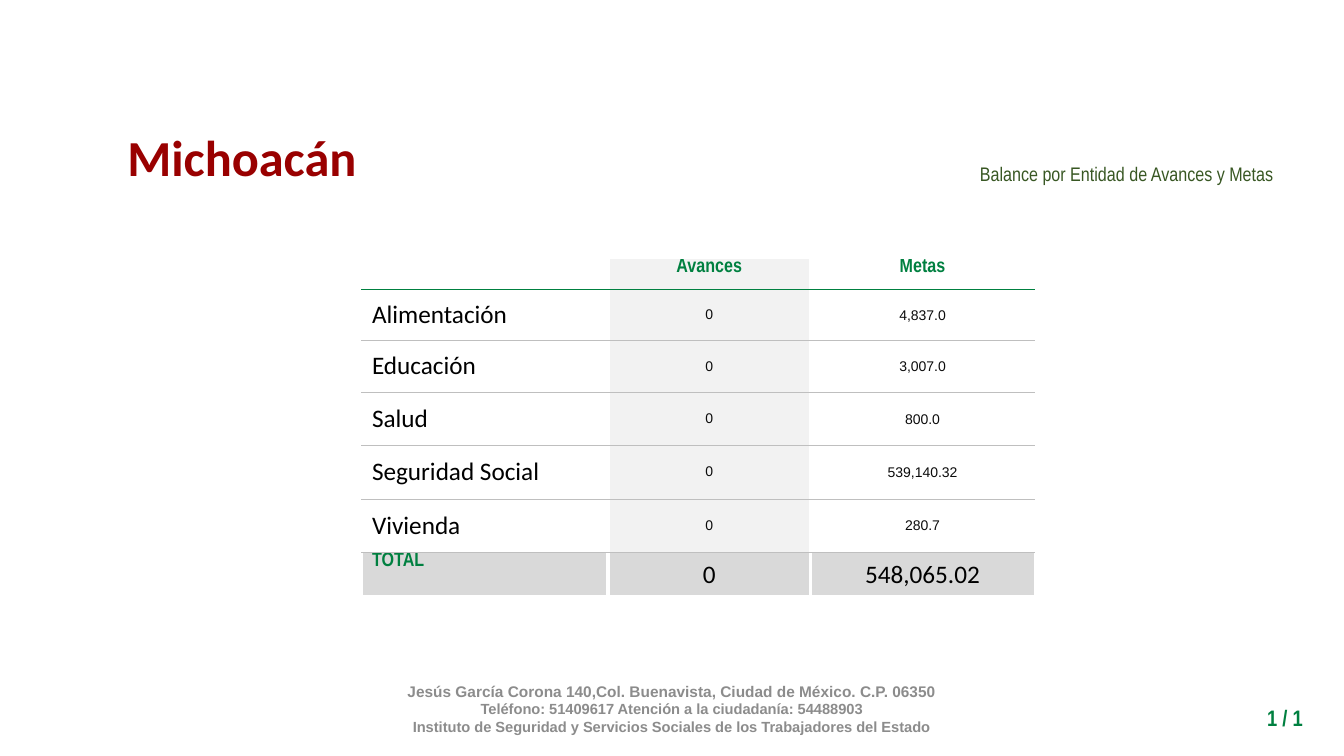
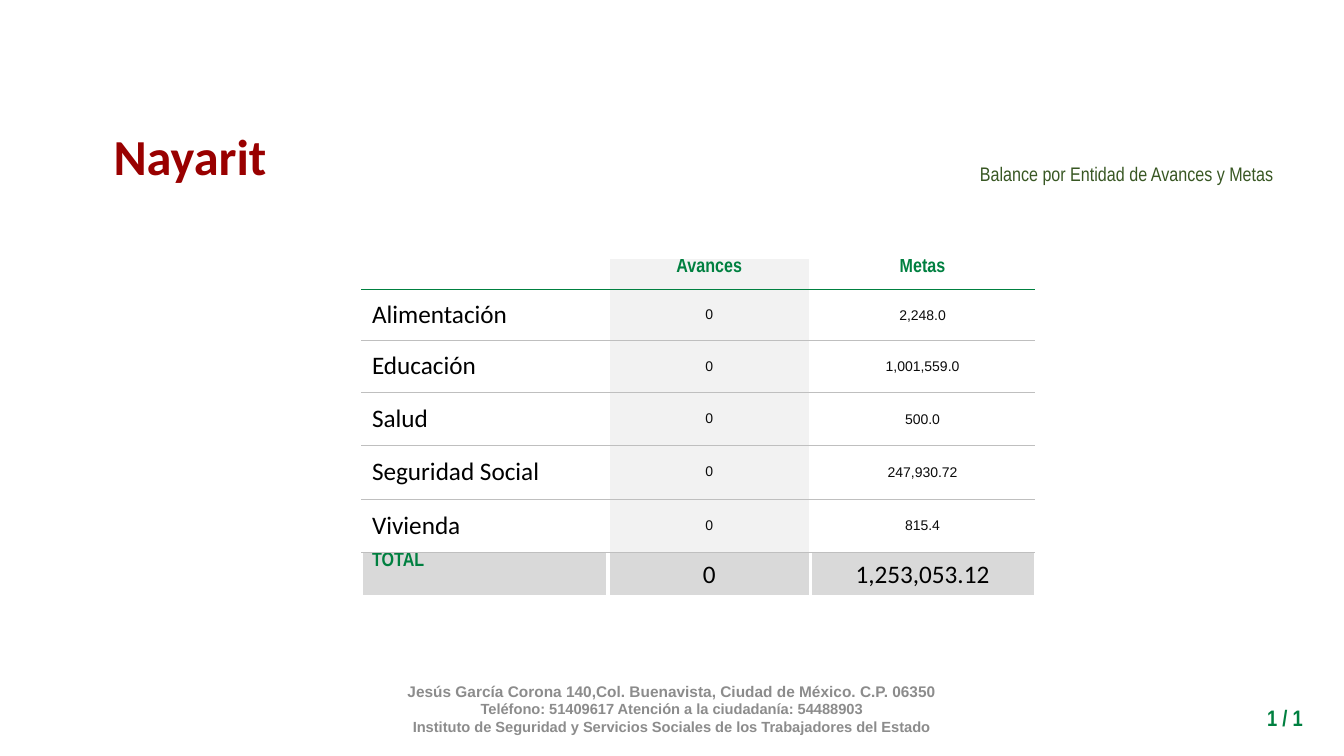
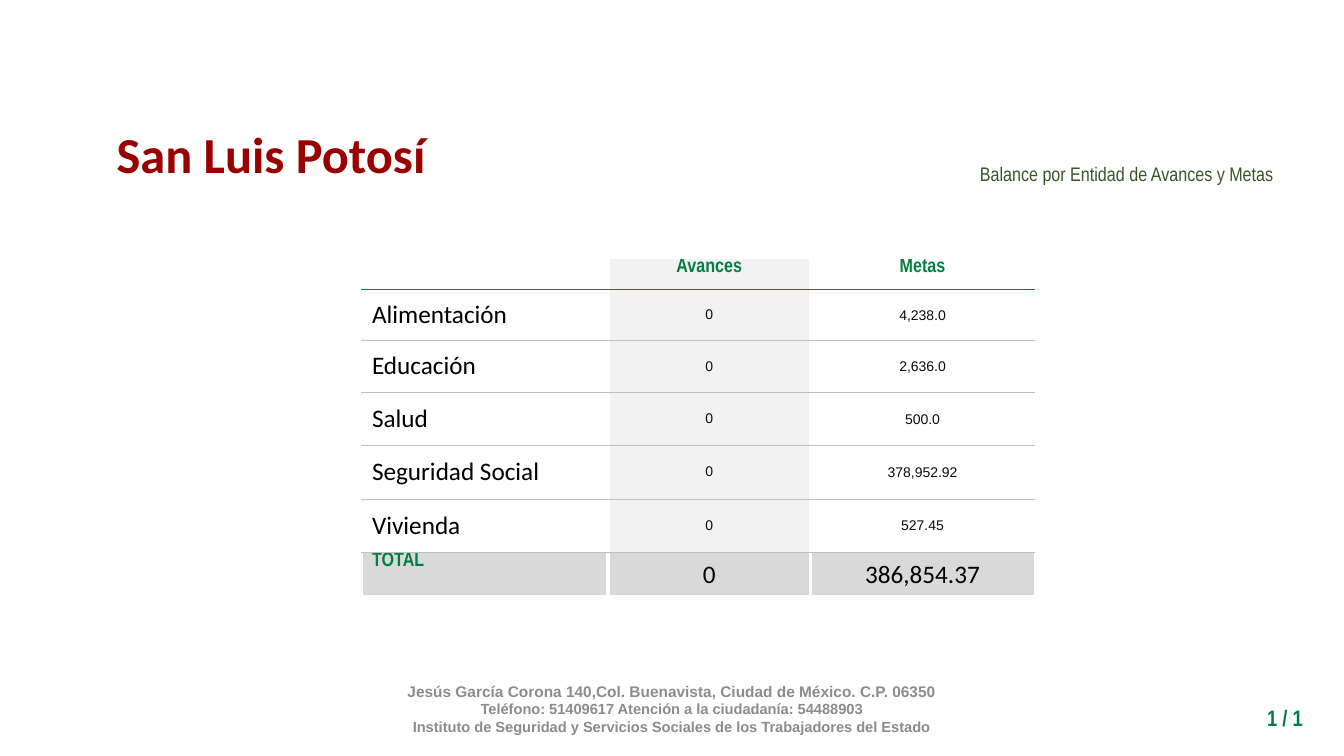
import pptx
import pptx.dml.color
import pptx.enum.text
import pptx.oxml
import pptx.oxml.ns
import pptx.util

Inches = pptx.util.Inches
ALIGN = pptx.enum.text.PP_ALIGN
ANCHOR = pptx.enum.text.MSO_ANCHOR
GROW = pptx.enum.text.MSO_AUTO_SIZE.SHAPE_TO_FIT_TEXT

HUES = {
    "white": "FFFFFF", "red": "990000", "green": "008040", "moss": "385723",
    "gray": "8C8C8C", "rule": "BFBFBF", "pale": "F2F2F2", "total": "D9D9D9",
    "ink": "0B0B0B", "black": "000000",
}
LOOKS = {
    "title": {"name": "Calibri", "size": 36, "bold": True, "hue": "red"},
    "note": {"name": "Arial Narrow", "size": 14, "bold": False, "hue": "moss"},
    "page": {"name": "Arial Narrow", "size": 16, "bold": True, "hue": "green"},
    "foot": {"name": "Arial", "size": 10.5, "bold": True, "hue": "gray"},
    "lead": {"name": "Arial", "size": 11, "bold": True, "hue": "gray"},
    "head": {"name": "Arial Narrow", "size": 14, "bold": True, "hue": "green"},
    "label": {"name": "Calibri", "size": 18, "bold": False, "hue": "black"},
    "value": {"name": "Arial", "size": 10, "bold": False, "hue": "ink"},
}
FOOTER = [
    ("Jesús García Corona 140,Col. Buenavista, Ciudad de México. C.P. 06350", "lead"),
    ("Teléfono: 51409617 Atención a la ciudadanía: 54488903", "foot"),
    ("Instituto de Seguridad y Servicios Sociales de los Trabajadores del Estado", "foot"),
]
TOPICS = ["Alimentación", "Educación", "Salud", "Seguridad Social", "Vivienda", "TOTAL"]
COLS = [2.44, 2.01, 2.22]
ROWS = [0.31, 0.51, 0.51, 0.53, 0.53, 0.53, 0.44]
STATES = [
    ("Michoacán", (1.15, 1.2, 2.5, 0.71),
     ["4,837.0", "3,007.0", "800.0", "539,140.32", "280.7", "548,065.02"]),
    ("Nayarit", (1.02, 1.19, 1.73, 0.71),
     ["2,248.0", "1,001,559.0", "500.0", "247,930.72", "815.4", "1,253,053.12"]),
    ("San Luis Potosí", (1.04, 1.17, 3.3, 0.71),
     ["4,238.0", "2,636.0", "500.0", "378,952.92", "527.45", "386,854.37"]),
]


def assign(item, values):
    """Set every attribute in a dict on an item."""
    for key, value in values.items():
        setattr(item, key, value)


def write(para, text, look, align):
    """Write one styled run in a paragraph."""
    para.alignment = align
    run = para.add_run()
    run.text = text
    style = dict(LOOKS[look])
    hue = style.pop("hue")
    style["size"] = pptx.util.Pt(style["size"])
    assign(run.font, style)
    run.font.color.rgb = pptx.dml.color.RGBColor.from_string(HUES[hue])
    return run


def add_text(slide, box, lines, align, frame):
    """Add a text box holding one paragraph per line."""
    shape = slide.shapes.add_textbox(*map(Inches, box))
    assign(shape.text_frame, {"word_wrap": True, **frame})
    for index, (text, look) in enumerate(lines):
        body = shape.text_frame
        para = body.add_paragraph() if index else body.paragraphs[0]
        write(para, text, look, align)
    return shape


def make_line(tag, hue, width):
    """Make a solid line element."""
    return pptx.oxml.parse_xml(
        f'<a:{tag} {pptx.oxml.ns.nsdecls("a")} w="{int(pptx.util.Pt(width))}">'
        f'<a:solidFill><a:srgbClr val="{HUES[hue]}"/></a:solidFill></a:{tag}>')


def add_title(slide, box, text):
    """Place the state name in the title placeholder."""
    title = slide.shapes.title
    sides = zip(("left", "top", "width", "height"), map(Inches, box))
    assign(title, dict(sides))
    assign(title.text_frame, {"word_wrap": False, "auto_size": GROW,
                              "vertical_anchor": ANCHOR.TOP})
    run = write(title.text_frame.paragraphs[0], text, "title", ALIGN.CENTER)
    run._r.get_or_add_rPr().insert(0, make_line("ln", "white", 0.75))


def edge(cell, row, col):
    """Draw the borders of a cell from its place in the grid."""
    thin, thick, top = ("rule", 0.5), ("white", 3), ("green", 0.25)
    last = len(ROWS) - 1
    sides = {
        "lnL": thick if col else None,
        "lnR": thick if col < len(COLS) - 1 else None,
        "lnT": {0: None, 1: top}.get(row, thin),
        "lnB": {0: top, last: thick}.get(row, thin),
    }
    lines = [make_line(tag, *side) for tag, side in sides.items() if side]
    props = cell._tc.get_or_add_tcPr()
    for index, line in enumerate(lines):
        props.insert(index, line)


def style_cell(cell, row, col, text):
    """Fill, border and write one table cell."""
    last = row == len(ROWS) - 1
    high = row == 0 or (last and col == 0)
    cell.vertical_anchor = ANCHOR.TOP if high else ANCHOR.MIDDLE
    if high:
        assign(cell, {"margin_top": 0, "margin_bottom": 0})
    elif col == 2:
        tight = Inches(0.01)
        assign(cell, {"margin_left": tight, "margin_right": tight,
                      "margin_top": tight, "margin_bottom": 0})
    shade = "total" if last else "pale" if col == 1 else None
    if shade:
        cell.fill.solid()
        cell.fill.fore_color.rgb = pptx.dml.color.RGBColor.from_string(HUES[shade])
    else:
        cell.fill.background()
    edge(cell, row, col)
    if text:
        look = "head" if high else "label" if last or col == 0 else "value"
        align = ALIGN.CENTER if col else ALIGN.LEFT
        write(cell.text_frame.paragraphs[0], text, look, align)


def add_goals(slide, left, top, goals):
    """Add the table of progress and goals."""
    size = (left, top, sum(COLS), sum(ROWS))
    table = slide.shapes.add_table(len(ROWS), len(COLS), *map(Inches, size)).table
    assign(table, {"first_row": False, "horz_banding": False})
    for column, width in zip(table.columns, COLS):
        column.width = Inches(width)
    for line, height in zip(table.rows, ROWS):
        line.height = Inches(height)
    data = [("", "Avances", "Metas")]
    data += [(topic, "0", goal) for topic, goal in zip(TOPICS, goals)]
    for row, texts in enumerate(data):
        for col, text in enumerate(texts):
            style_cell(table.cell(row, col), row, col, text)


def add_footer(slide, box):
    """Put the shared address on the layout of a slide."""
    shape = add_text(slide, box, FOOTER, ALIGN.CENTER,
                     {"vertical_anchor": ANCHOR.MIDDLE, "margin_bottom": Inches(0.23)})
    slide.slide_layout.shapes.element.append(shape.element)


def add_state(deck, name, box, goals):
    """Build the slide of one state."""
    slide = deck.slides.add_slide(deck.slide_layouts[5])
    add_goals(slide, 3.59, 2.56, goals)
    note = add_text(slide, (6.69, 1.23, 6.04, 0.95),
                    [("Balance por Entidad de Avances y Metas", "note")],
                    ALIGN.RIGHT, {"vertical_anchor": ANCHOR.MIDDLE})
    note.text_frame.paragraphs[0].line_spacing = 1.15
    add_text(slide, (11.76, 6.94, 1.26, 0.37), [("1 / 1", "page")],
             ALIGN.RIGHT, {"auto_size": GROW})
    add_title(slide, box, name)
    return slide


def main():
    """Build and save the deck."""
    deck = pptx.Presentation()
    assign(deck, {"slide_width": Inches(13.33), "slide_height": Inches(7.5)})
    slides = [add_state(deck, *state) for state in STATES]
    add_footer(slides[0], (2.88, 6.92, 7.57, 0.4))
    deck.save("out.pptx")


if __name__ == "__main__":
    main()
